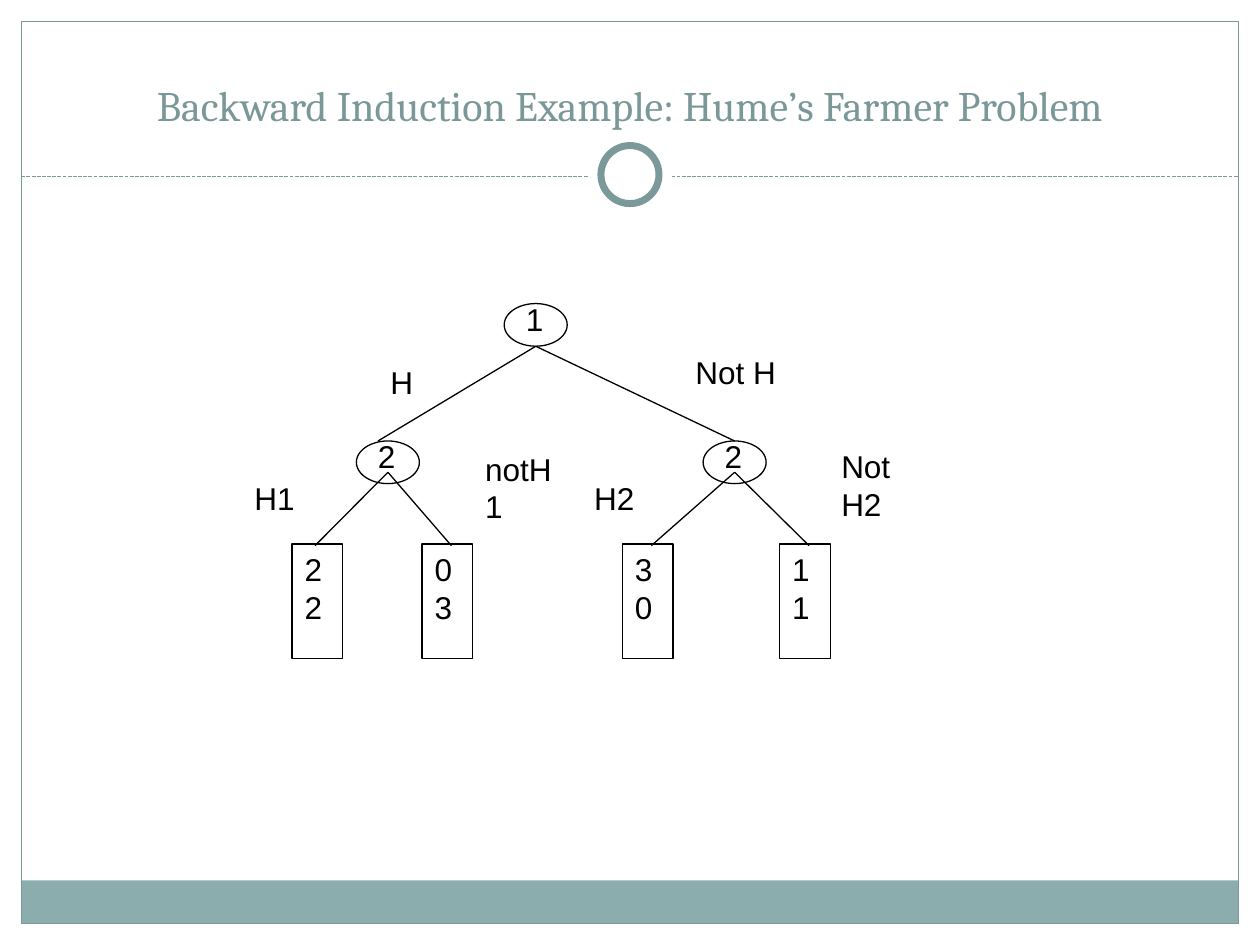
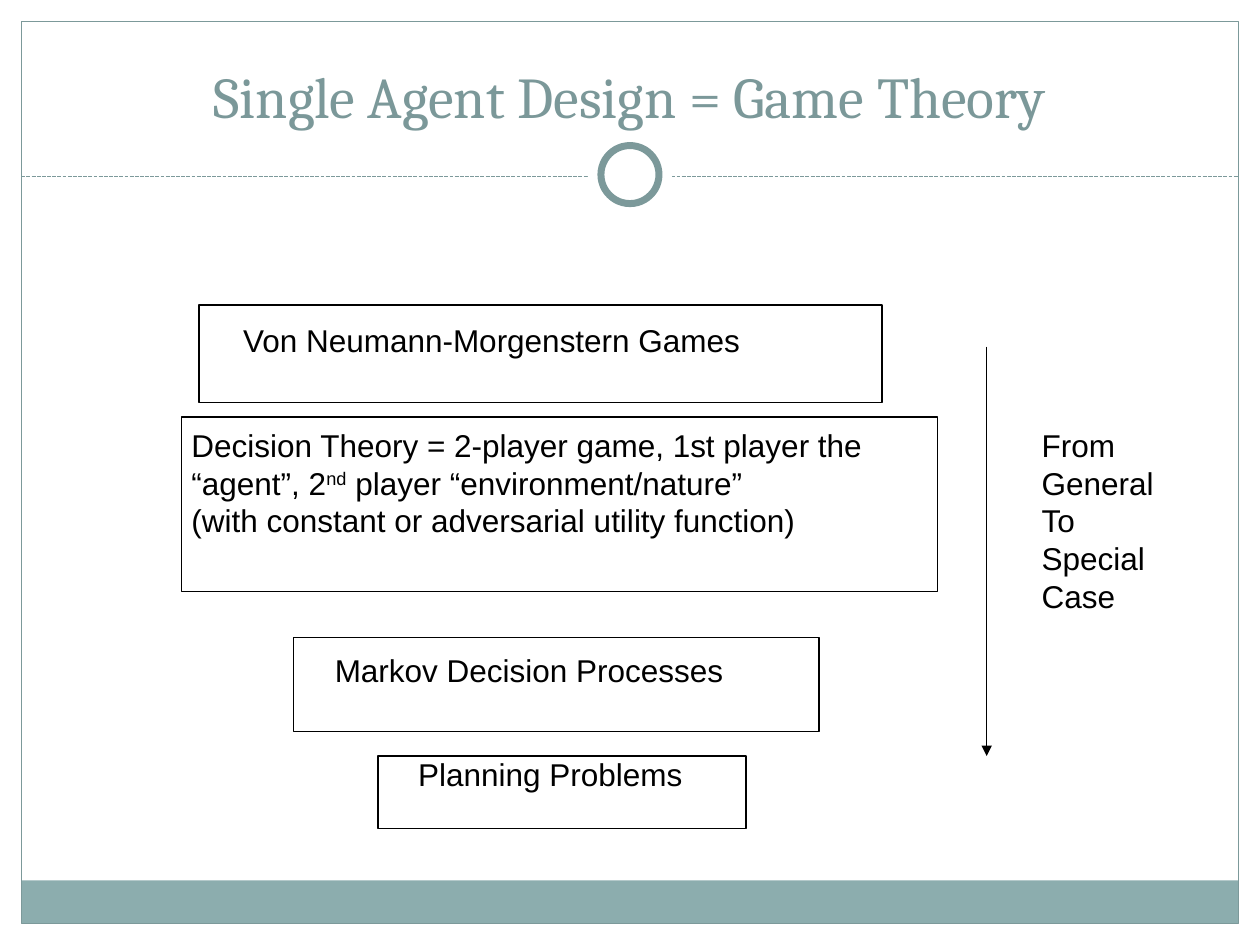
from typing import NamedTuple, Optional

from lxml.etree import SubElement
from pptx import Presentation
from pptx.dml.color import RGBColor
from pptx.enum.dml import MSO_LINE
from pptx.enum.shapes import MSO_CONNECTOR as Connector, MSO_SHAPE as Preset
from pptx.enum.text import MSO_ANCHOR as Anchor, MSO_AUTO_SIZE as AutoSize, PP_ALIGN as Align
from pptx.oxml.ns import qn
from pptx.util import Cm, Pt

PAGE_WIDTH, PAGE_HEIGHT = 25.4, 19.05
MARGIN = 0.43
INNER_WIDTH = PAGE_WIDTH - 2 * MARGIN
RULE_Y = 3.56
RING_Y = 3.52

TEAL, TITLE_TEAL, BAND_TEAL = "7C999A", "7B9899", "8CADAE"
BLACK, WHITE = "000000", "FFFFFF"
TITLE_FONT, BODY_FONT = "Cambria", "Arial"
BODY_SIZE = 18
THIN = 0.75

NODE_WIDTH, NODE_HEIGHT = 1.27, 0.86
LEAF_TOP, LEAF_WIDTH, LEAF_HEIGHT = 10.97, 1.02, 2.31


class Area(NamedTuple):
    """Left, top, width and height in centimetres."""
    left: float
    top: float
    width: float
    height: float


class Point(NamedTuple):
    x: float
    y: float


class Node(NamedTuple):
    player: str
    centre: Point


class Leaf(NamedTuple):
    payoffs: str
    left: float
    parent: Node
    edge_x: float


class Label(NamedTuple):
    text: str
    area: Area


class Level(NamedTuple):
    """A class of problems: its outline and the label laid over it."""
    outline: Area
    label: Label


ROOT = Node("1", Point(10.8, 6.55))
LEFT = Node("2", Point(7.82, 9.32))
RIGHT = Node("2", Point(14.81, 9.32))

LEAVES = [
    Leaf("2\n2", 5.89, LEFT, 6.35),
    Leaf("0\n3", 8.51, LEFT, 9.1),
    Leaf("3\n0", 12.55, RIGHT, 13.13),
    Leaf("1\n1", 15.72, RIGHT, 16.31),
]

MOVES = [
    Label("H", Area(7.62, 7.19, 0.64, 1.27)),
    Label("Not H", Area(13.77, 6.99, 3.81, 1.27)),
    Label("H1", Area(4.88, 9.53, 1.91, 1.27)),
    Label("notH1", Area(9.53, 8.94, 1.91, 2.29)),
    Label("H2", Area(11.73, 9.53, 1.91, 1.27)),
    Label("Not H2", Area(16.71, 8.89, 2.34, 2.29)),
]

# Text between carets is raised.
LEVELS = [
    Level(Area(4.01, 6.15, 13.77, 1.96),
          Label("Von Neumann-Morgenstern Games", Area(4.65, 6.35, 13.77, 1.02))),
    Level(Area(3.66, 8.41, 15.24, 3.51),
          Label("Decision Theory = 2-player game, 1st player the “agent”, "
                "2^nd^ player “environment/nature”\n"
                "(with constant or adversarial utility function)",
                Area(3.61, 8.46, 15.88, 2.57))),
    Level(Area(5.92, 12.85, 10.59, 1.9),
          Label("Markov Decision Processes", Area(6.5, 13, 10.36, 1.02))),
    Level(Area(7.62, 15.24, 7.42, 1.47),
          Label("Planning Problems", Area(8.18, 15.09, 6.93, 1.02))),
]


def colour(value: str) -> RGBColor:
    return RGBColor.from_string(value)


def lengths(area: Area) -> list:
    return [Cm(value) for value in area]


def around(centre: Point, width: float, height: float) -> Area:
    return Area(centre.x - width / 2, centre.y - height / 2, width, height)


def style_font(font, name: str, size: float, hue: str) -> None:
    font.name, font.size = name, Pt(size)
    font.color.rgb = colour(hue)


def write(frame, text: str) -> None:
    """Fill a text frame with body text, one paragraph a line."""
    frame.word_wrap = True
    frame.vertical_anchor = Anchor.TOP
    frame.text = text.replace("^", "")
    for para, line in zip(frame.paragraphs, text.split("\n")):
        para.alignment = Align.LEFT
        if "^" in line:
            para.text = ""
            for index, part in enumerate(line.split("^")):
                span = para.add_run()
                span.text = part
                if index % 2:
                    span._r.get_or_add_rPr().set("baseline", "30000")
        for span in para.runs:
            style_font(span.font, BODY_FONT, BODY_SIZE, BLACK)


def add_label(page, label: Label) -> None:
    box = page.shapes.add_textbox(*lengths(label.area))
    write(box.text_frame, label.text)


def add_preset(page, preset, area: Area, fill: Optional[str] = None,
               line: Optional[str] = None, weight: float = THIN):
    shape = page.shapes.add_shape(preset, *lengths(area))
    shape.shadow.inherit = False
    if fill:
        shape.fill.solid()
        shape.fill.fore_color.rgb = colour(fill)
    else:
        shape.fill.background()
    if line:
        shape.line.color.rgb = colour(line)
        shape.line.width = Pt(weight)
    else:
        shape.line.fill.background()
    return shape


def add_line(page, start: Point, end: Point, hue: str = BLACK):
    line = page.shapes.add_connector(Connector.STRAIGHT, *lengths(start + end))
    line.line.color.rgb = colour(hue)
    line.line.width = Pt(THIN)
    SubElement(line._element.spPr, qn("a:effectLst"))
    return line


def add_page(deck, title: str, title_size: float):
    """Add a slide with the shared frame, band, rule, ring and title."""
    page = deck.slides.add_slide(deck.slide_layouts[5])
    add_preset(page, Preset.RECTANGLE, Area(MARGIN, 17.75, INNER_WIDTH, 0.86), fill=BAND_TEAL)
    add_preset(page, Preset.RECTANGLE, Area(MARGIN, MARGIN, INNER_WIDTH, 18.19), line=TEAL)
    rule = add_line(page, Point(MARGIN, RULE_Y), Point(PAGE_WIDTH - MARGIN, RULE_Y), TEAL)
    rule.line.dash_style = MSO_LINE.SQUARE_DOT
    ring_centre = Point(PAGE_WIDTH / 2, RING_Y)
    add_preset(page, Preset.OVAL, around(ring_centre, 1.7, 1.7), fill=WHITE)
    add_preset(page, Preset.OVAL, around(ring_centre, 1.17, 1.17), WHITE, TEAL, 4)

    heading = page.shapes.title
    heading.left, heading.top, heading.width, heading.height = lengths(Area(0.84, 0.64, 23.7, 2.11))
    frame = heading.text_frame
    frame.text = title
    frame.auto_size = AutoSize.NONE
    frame.vertical_anchor = Anchor.BOTTOM
    para = frame.paragraphs[0]
    para.alignment = Align.CENTER
    style_font(para.runs[0].font, TITLE_FONT, title_size, TITLE_TEAL)
    return page


def add_node(page, node: Node) -> None:
    x, y = node.centre
    add_label(page, Label(node.player, Area(x - 0.45, y - 0.63, 0.64, 1.27)))
    add_preset(page, Preset.OVAL, around(node.centre, NODE_WIDTH, NODE_HEIGHT), line=BLACK)


def add_leaf(page, leaf: Leaf) -> None:
    area = Area(leaf.left, LEAF_TOP, LEAF_WIDTH, LEAF_HEIGHT)
    write(add_preset(page, Preset.RECTANGLE, area, line=BLACK).text_frame, leaf.payoffs)
    parent = leaf.parent.centre
    add_line(page, Point(parent.x, parent.y + 0.2), Point(leaf.edge_x, LEAF_TOP + 0.03))


def add_farmer_page(deck) -> None:
    page = add_page(deck, "Backward Induction Example: Hume’s Farmer Problem", 24)
    for node in (ROOT, LEFT, RIGHT):
        add_node(page, node)
    fork = Point(ROOT.centre.x, ROOT.centre.y + NODE_HEIGHT / 2)
    for x in (LEFT.centre.x - 0.2, RIGHT.centre.x):
        add_line(page, fork, Point(x, LEFT.centre.y - NODE_HEIGHT / 2))
    for leaf in LEAVES:
        add_leaf(page, leaf)
    for move in MOVES:
        add_label(page, move)


def add_theory_page(deck) -> None:
    page = add_page(deck, "Single Agent Design = Game Theory", 33)
    for level in LEVELS:
        add_preset(page, Preset.RECTANGLE, level.outline, line=BLACK)
        add_label(page, level.label)
    arrow = add_line(page, Point(19.89, 6.99), Point(19.89, 15.24))
    SubElement(arrow.line._get_or_add_ln(), qn("a:tailEnd"), type="triangle")
    add_label(page, Label("From\nGeneral\nTo\nSpecial\nCase", Area(20.75, 8.46, 2.9, 4.11)))


def main() -> None:
    deck = Presentation()
    deck.slide_width, deck.slide_height = Cm(PAGE_WIDTH), Cm(PAGE_HEIGHT)
    add_farmer_page(deck)
    add_theory_page(deck)
    deck.save("out.pptx")


if __name__ == "__main__":
    main()
